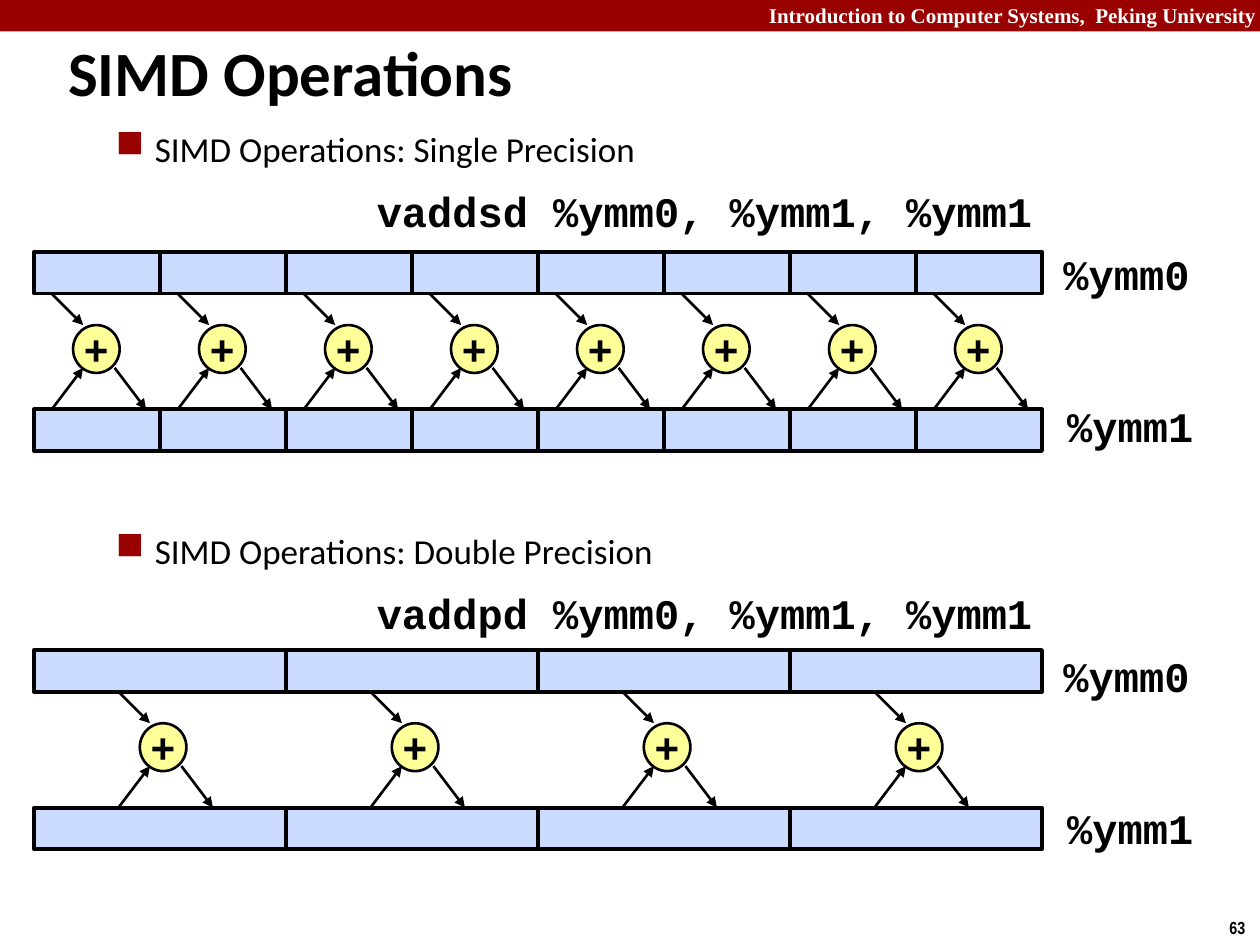
import pptx
import pptx.util
import pptx.dml.color
import pptx.enum.shapes
import pptx.enum.text
import pptx.oxml
import pptx.oxml.ns
from lxml import etree

Inches, Pt = pptx.util.Inches, pptx.util.Pt
SHAPE = pptx.enum.shapes.MSO_SHAPE
ALIGN = pptx.enum.text.PP_ALIGN
ANCHOR = pptx.enum.text.MSO_ANCHOR
RED, BLUE, YELLOW, BLACK, WHITE = "990000", "CBDBFF", "FFFF99", "000000", "FFFFFF"
CODE = "Courier New"


def color(code):
    return pptx.dml.color.RGBColor.from_string(code)


def add_xml(parent, tag, **attrs):
    node = etree.SubElement(parent, pptx.oxml.ns.qn(tag))
    for key, value in attrs.items():
        node.set(key, value)
    return node


def write(shape, text, font, size, bold=True, ink=BLACK, align=ALIGN.LEFT,
          inset=0.1, wrap=False, anchor=ANCHOR.TOP):
    frame = shape.text_frame
    frame.text = text
    frame.word_wrap = wrap
    frame.vertical_anchor = anchor
    frame.margin_left = frame.margin_right = Inches(inset)
    frame.margin_top = frame.margin_bottom = Inches(0.05)
    para = frame.paragraphs[0]
    para.alignment = align
    face = para.runs[0].font
    face.name, face.size, face.bold = font, Pt(size), bold
    face.color.rgb = color(ink)
    return para


def add_text(slide, box, text, font, size, **style):
    shape = slide.shapes.add_textbox(*map(Inches, box))
    return write(shape, text, font, size, **style)


def add_block(slide, kind, box, fill, width=0):
    shape = slide.shapes.add_shape(kind, *map(Inches, box))
    shape.shadow.inherit = False
    shape.fill.solid()
    shape.fill.fore_color.rgb = color(fill)
    if width:
        shape.line.color.rgb = color(BLACK)
        shape.line.width = Pt(width)
    else:
        shape.line.fill.background()
    return shape


def add_arrow(slide, x1, y1, x2, y2):
    kind = pptx.enum.shapes.MSO_CONNECTOR.STRAIGHT
    line = slide.shapes.add_connector(kind, *map(Inches, (x1, y1, x2, y2)))
    line.line.color.rgb = color(BLACK)
    line.line.width = Pt(1.5)
    add_xml(line.line._get_or_add_ln(), "a:tailEnd", type="triangle")
    add_xml(line._element.spPr, "a:effectLst")


def add_frame(slide):
    # Header band, title and page number
    add_block(slide, SHAPE.RECTANGLE, (0, 0, 10, 0.25), RED)
    add_text(slide, (6, -0.03, 4.07, 0.3),
             "Introduction to Computer Systems,  Peking University",
             "Times New Roman", 12, ink=WHITE, align=ALIGN.RIGHT, wrap=True)
    title = slide.shapes.title
    title.left, title.top = Inches(0.44), Inches(0.14)
    title.width, title.height = Inches(9.53), Inches(0.85)
    write(title, "SIMD Operations", "Calibri", 36, wrap=True, anchor=ANCHOR.MIDDLE)
    add_text(slide, (9.66, 7.23, 0.34, 0.27), "63", "Arial Narrow", 10)


def add_bullet(slide, box, text):
    para = add_text(slide, box, text, "Calibri", 20, bold=False, wrap=True)
    props = para._p.get_or_add_pPr()
    props.set("marL", str(Inches(0.81)))
    props.set("indent", str(Inches(-0.31)))
    add_xml(add_xml(props, "a:buClr"), "a:srgbClr", val=RED)
    add_xml(props, "a:buSzPct", val="110000")
    add_xml(props, "a:buChar", char="■")


def add_lane(slide, x, top):
    # One adder: two operands in, one sum out
    low, high = top + 0.92, top + 0.59
    plus = add_block(slide, SHAPE.OVAL, (x + 0.17, top + 0.25, 0.37, 0.38), YELLOW, 1.5)
    write(plus, "+", CODE, 24, align=ALIGN.CENTER, inset=0.05, anchor=ANCHOR.MIDDLE)
    add_arrow(slide, x, top, x + 0.25, top + 0.25)
    add_arrow(slide, x, low, x + 0.25, high)
    add_arrow(slide, x + 0.5, high, x + 0.75, low)


def add_vectors(slide, box, count, lead):
    # Two registers of equal cells, with an adder under each upper cell
    left, top, width, height = box
    cell, deep = width / count, 0.33
    for y in (top, top + height - deep):
        for i in range(count):
            add_block(slide, SHAPE.RECTANGLE, (left + i * cell, y, cell, deep), BLUE, 2.25)
    for i in range(count):
        add_lane(slide, left + i * cell + lead, top + deep)


def add_section(slide, top, name, order, count, lead, row):
    add_bullet(slide, (0.32, top, 9.09, 0.45), name)
    add_vectors(slide, (0.27, row, 8, 1.58), count, lead)
    labels = (
        (2.94, 0.46, 5.35, order + " %ymm0, %ymm1, %ymm1"),
        (8.39, 0.96, 1.11, "%ymm0"),
        (8.42, 2.17, 1.11, "%ymm1"),
    )
    for x, drop, width, text in labels:
        add_text(slide, (x, top + drop, width, 0.5), text, CODE, 24, inset=0.05)


def main():
    deck = pptx.Presentation()
    deck.slide_width, deck.slide_height = Inches(10), Inches(7.5)
    slide = deck.slides.add_slide(deck.slide_layouts.get_by_name("Title Only"))
    add_frame(slide)
    add_section(slide, 0.96, "SIMD Operations: Single Precision", "vaddsd", 8, 0.14, 2)
    add_section(slide, 4.15, "SIMD Operations: Double Precision", "vaddpd", 4, 0.67, 5.16)
    deck.save("out.pptx")


if __name__ == "__main__":
    main()
